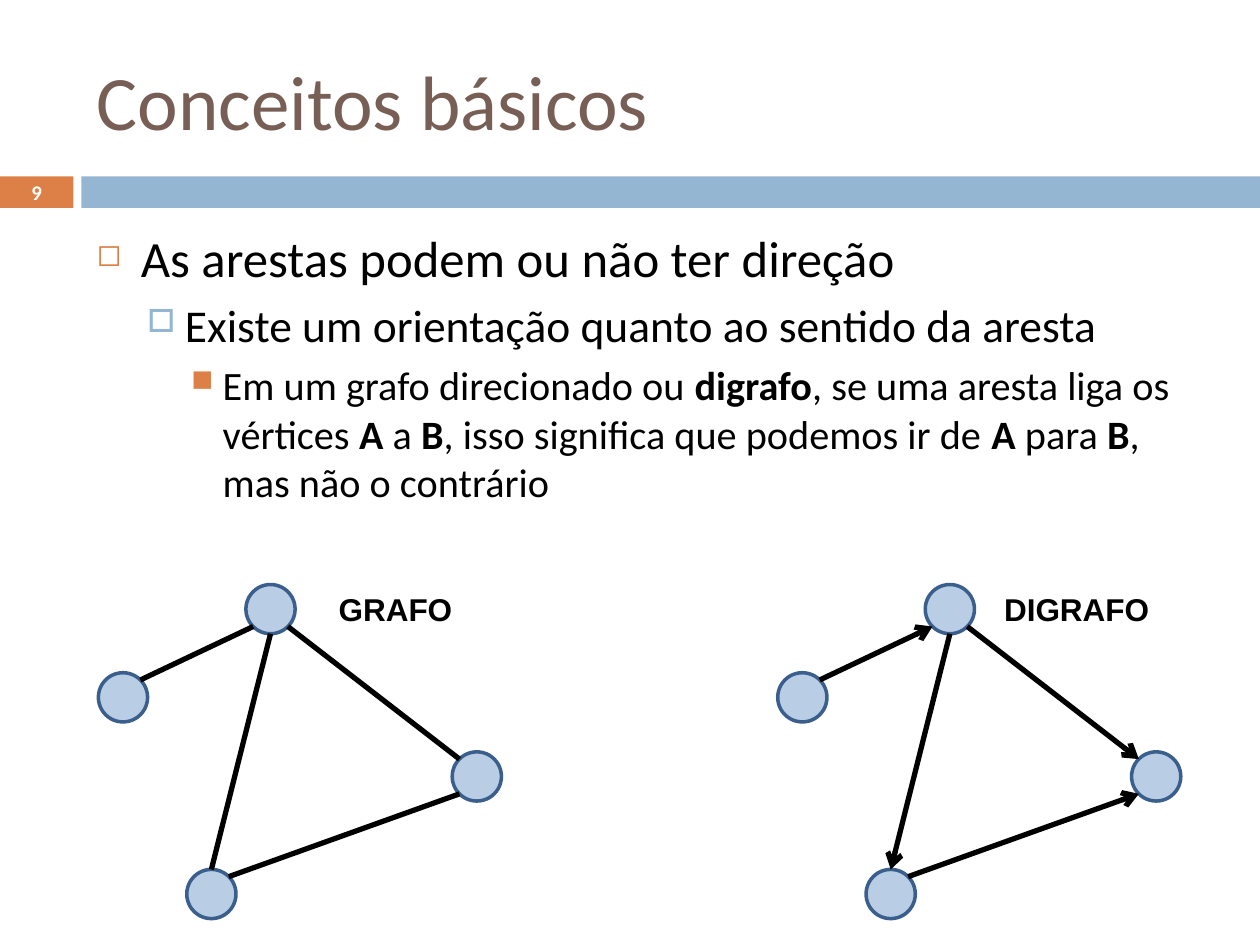
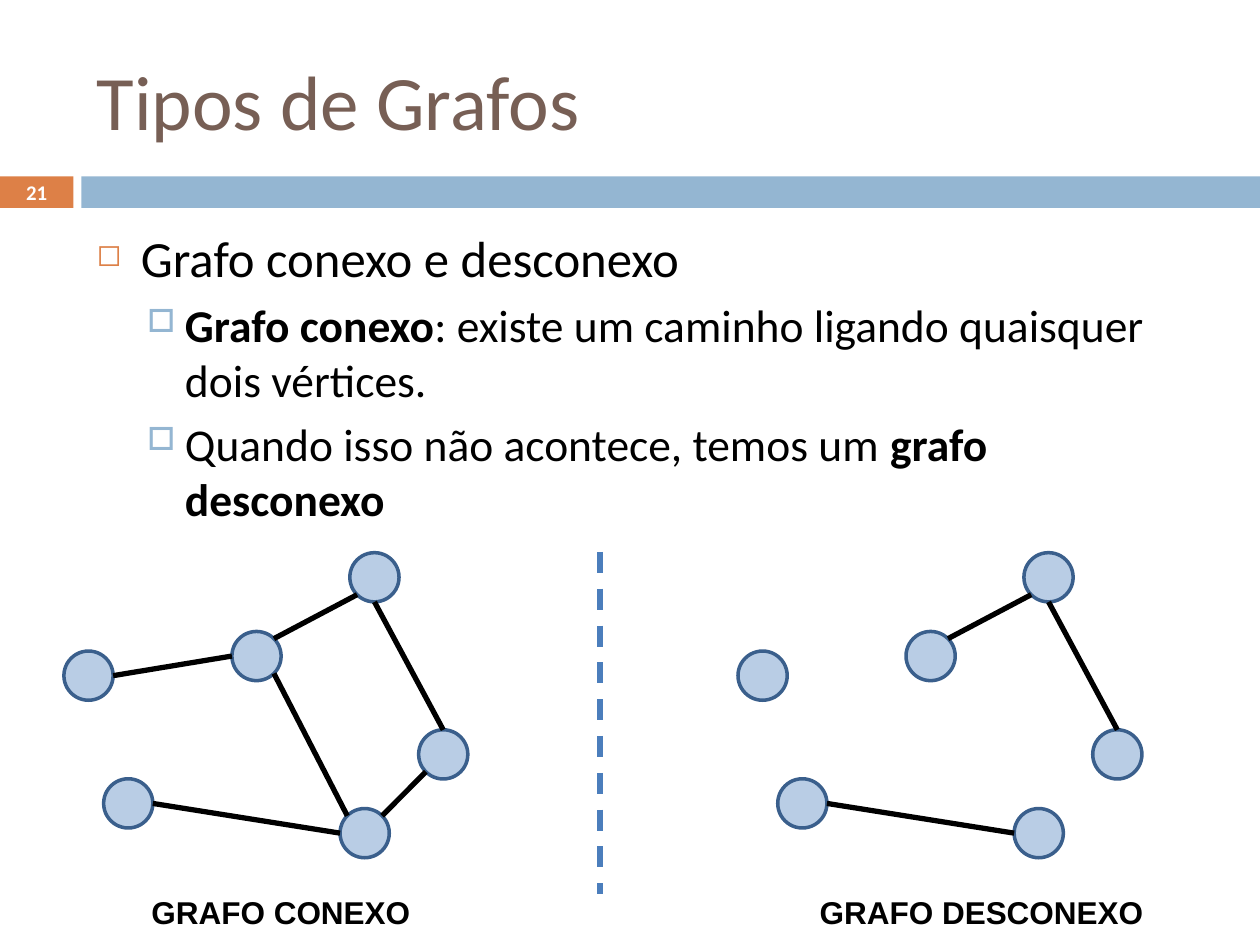
import pptx
import pptx.dml.color
import pptx.enum.dml
import pptx.enum.shapes
import pptx.enum.text
import pptx.oxml
import pptx.oxml.ns
import pptx.util
from lxml import etree

Pt = pptx.util.Pt
SHAPES = pptx.enum.shapes.MSO_SHAPE
ALIGN = pptx.enum.text.PP_ALIGN
ANCHOR = pptx.enum.text.MSO_ANCHOR

ORANGE, BLUE, BROWN = "DD8047", "94B6D2", "775F55"
VERTEX_FILL, VERTEX_LINE, DIVIDER = "B9CDE5", "3A5F8C", "4B7EBC"
BLACK, WHITE = "000000", "FFFFFF"

RADIUS = 14.06
DIAGONAL = 0.707
# Points on a vertex where an edge may end, in radii from its centre.
SIDES = {
    "n": (0, -1), "s": (0, 1), "w": (-1, 0), "e": (1, 0),
    "nw": (-DIAGONAL, -DIAGONAL), "ne": (DIAGONAL, -DIAGONAL),
    "sw": (-DIAGONAL, DIAGONAL), "se": (DIAGONAL, DIAGONAL),
}

# Per level: indent, hanging, space before, bullet, bullet colour, bullet %, size
LEVELS = [
    (25.2, 25.2, 7, "◻", ORANGE, 60, 29),
    (50.4, 21.6, 5.5, "□", BLUE, 70, 26),
    (72, 18, 5, "■", ORANGE, 75, 23),
]

# Vertex centres and edges (vertex, side, vertex, side)
DIRECTION_VERTICES = {
    "left": (70.3, 398.5), "top": (154.6, 348.1),
    "right": (272.5, 443.7), "bottom": (120.8, 510.9),
}
DIRECTION_EDGES = [
    ("top", "se", "right", "nw"), ("left", "ne", "top", "sw"),
    ("bottom", "ne", "right", "sw"), ("top", "s", "bottom", "n"),
]
DIGRAPH_SHIFT = 388.2

CONNECTION_VERTICES = {
    "left": (50.6, 386.1), "inner": (146.6, 374.9), "top": (214, 329.9),
    "right": (253.3, 431.1), "bottom": (208.4, 476.1), "lower left": (73.3, 459.1),
}
KEPT_EDGES = [
    ("top", "s", "right", "n"), ("top", "sw", "inner", "ne"),
    ("lower left", "e", "bottom", "w"),
]
JOINING_EDGES = [
    ("left", "e", "inner", "w"), ("bottom", "ne", "right", "sw"),
    ("inner", "se", "bottom", "nw"),
]
DISCONNECTED_SHIFT = 385.2


def color(hex_code):
    return pptx.dml.color.RGBColor.from_string(hex_code)


def add_text(para, text, size=18, font="Calibri", fill=BLACK, bold=False):
    """Add text to a paragraph; parts between ** marks are bold."""
    for index, part in enumerate(text.split("**")):
        if part:
            span = para.add_run()
            span.text = part
            span.font.name = font
            span.font.size = Pt(size)
            span.font.bold = bold or index % 2 == 1
            span.font.color.rgb = color(fill)


def add_box(slide, left, top, width, height, anchor=ANCHOR.TOP):
    box = slide.shapes.add_textbox(Pt(left), Pt(top), Pt(width), Pt(height))
    box.text_frame.word_wrap = True
    box.text_frame.vertical_anchor = anchor
    return box.text_frame


def add_solid(slide, kind, left, top, width, height, fill, outline=None):
    shape = slide.shapes.add_shape(kind, Pt(left), Pt(top), Pt(width), Pt(height))
    shape.shadow.inherit = False
    shape.fill.solid()
    shape.fill.fore_color.rgb = color(fill)
    if outline:
        shape.line.color.rgb = color(outline)
        shape.line.width = Pt(2)
    else:
        shape.line.fill.background()
    return shape


def add_line(slide, start, end, stroke=BLACK, arrow=False, dashed=False):
    line = slide.shapes.add_connector(
        pptx.enum.shapes.MSO_CONNECTOR.STRAIGHT, *map(Pt, start + end))
    line.line.color.rgb = color(stroke)
    line.line.width = Pt(3)
    if dashed:
        line.line.dash_style = pptx.enum.dml.MSO_LINE.DASH
    if arrow:
        etree.SubElement(line.line._get_or_add_ln(),
                         pptx.oxml.ns.qn("a:tailEnd"), type="arrow")
    etree.SubElement(line._element.spPr, pptx.oxml.ns.qn("a:effectLst"))


def add_bullet(para, level):
    indent, hanging, _, mark, mark_color, percent, _ = LEVELS[level]
    para.level = level
    properties = para._p.get_or_add_pPr()
    properties.set("marL", str(Pt(indent)))
    properties.set("indent", str(-Pt(hanging)))
    tint = etree.SubElement(properties, pptx.oxml.ns.qn("a:buClr"))
    etree.SubElement(tint, pptx.oxml.ns.qn("a:srgbClr"), val=mark_color)
    etree.SubElement(properties, pptx.oxml.ns.qn("a:buSzPct"), val=str(percent * 1000))
    etree.SubElement(properties, pptx.oxml.ns.qn("a:buChar"), char=mark)


def add_body(slide, items):
    """Write the bulleted text from (level, text) pairs."""
    frame = add_box(slide, 48.2, 126, 642.2, 354.2)
    for index, (level, text) in enumerate(items):
        para = frame.add_paragraph() if index else frame.paragraphs[0]
        add_bullet(para, level)
        if index:
            para.space_before = Pt(LEVELS[level][2])
        add_text(para, text, size=LEVELS[level][-1])


def add_label(slide, text, left, top, width):
    para = add_box(slide, left, top, width, 29).paragraphs[0]
    para.alignment = ALIGN.CENTER
    add_text(para, text, font="Arial", bold=True)


def add_graph(slide, vertices, edges, shift=0, arrow=False):
    """Draw a graph moved right by shift points."""
    def end_point(name, side):
        x, y = vertices[name]
        dx, dy = SIDES[side]
        return x + shift + dx * RADIUS, y + dy * RADIUS

    for x, y in vertices.values():
        add_solid(slide, SHAPES.OVAL, x + shift - RADIUS, y - RADIUS,
                  2 * RADIUS, 2 * RADIUS, VERTEX_FILL, VERTEX_LINE)
    for first, first_side, second, second_side in edges:
        add_line(slide, end_point(first, first_side),
                 end_point(second, second_side), arrow=arrow)


def add_slide(deck, title, number):
    """Add a slide with the shared bands, title and page number."""
    slide = deck.slides.add_slide(deck.slide_layouts[6])
    add_solid(slide, SHAPES.RECTANGLE, 0, 100.8, 42, 18, ORANGE)
    add_solid(slide, SHAPES.RECTANGLE, 46.5, 100.8, 673.5, 18, BLUE)
    heading = add_box(slide, 48.2, 18, 642.2, 78, ANCHOR.MIDDLE)
    add_text(heading.paragraphs[0], title, size=44, fill=BROWN)
    para = add_box(slide, 0, 100, 42, 19.5, ANCHOR.MIDDLE).paragraphs[0]
    para.alignment = ALIGN.CENTER
    add_text(para, str(number), size=11.9, fill=WHITE, bold=True)
    return slide


def add_direction_slide(deck):
    slide = add_slide(deck, "Conceitos básicos", 9)
    add_body(slide, [
        (0, "As arestas podem ou não ter direção"),
        (1, "Existe um orientação quanto ao sentido da aresta"),
        (2, "Em um grafo direcionado ou **digrafo**, se uma aresta liga os "
            "vértices **A **a **B**, isso significa que podemos ir de **A** "
            "para **B**, mas não o contrário"),
    ])
    add_graph(slide, DIRECTION_VERTICES, DIRECTION_EDGES)
    add_graph(slide, DIRECTION_VERTICES, DIRECTION_EDGES, DIGRAPH_SHIFT, arrow=True)
    add_label(slide, "GRAFO", 111, 333.4, 230)
    add_label(slide, "DIGRAFO", 560.9, 333.4, 108.7)


def add_connection_slide(deck):
    slide = add_slide(deck, "Tipos de Grafos", 21)
    add_body(slide, [
        (0, "Grafo conexo e desconexo"),
        (1, "**Grafo conexo**: existe um caminho ligando quaisquer dois vértices."),
        (1, "Quando isso não acontece, temos um **grafo desconexo**"),
    ])
    add_graph(slide, CONNECTION_VERTICES, KEPT_EDGES + JOINING_EDGES)
    add_graph(slide, CONNECTION_VERTICES, KEPT_EDGES, DISCONNECTED_SHIFT)
    add_line(slide, (342.8, 315.4), (342.8, 511), DIVIDER, dashed=True)
    add_label(slide, "GRAFO CONEXO", 76.3, 507, 168.5)
    add_label(slide, "GRAFO DESCONEXO", 455.8, 507, 210.2)


def main():
    deck = pptx.Presentation()
    deck.slide_width, deck.slide_height = Pt(720), Pt(540)
    add_direction_slide(deck)
    add_connection_slide(deck)
    deck.save("out.pptx")


if __name__ == "__main__":
    main()
